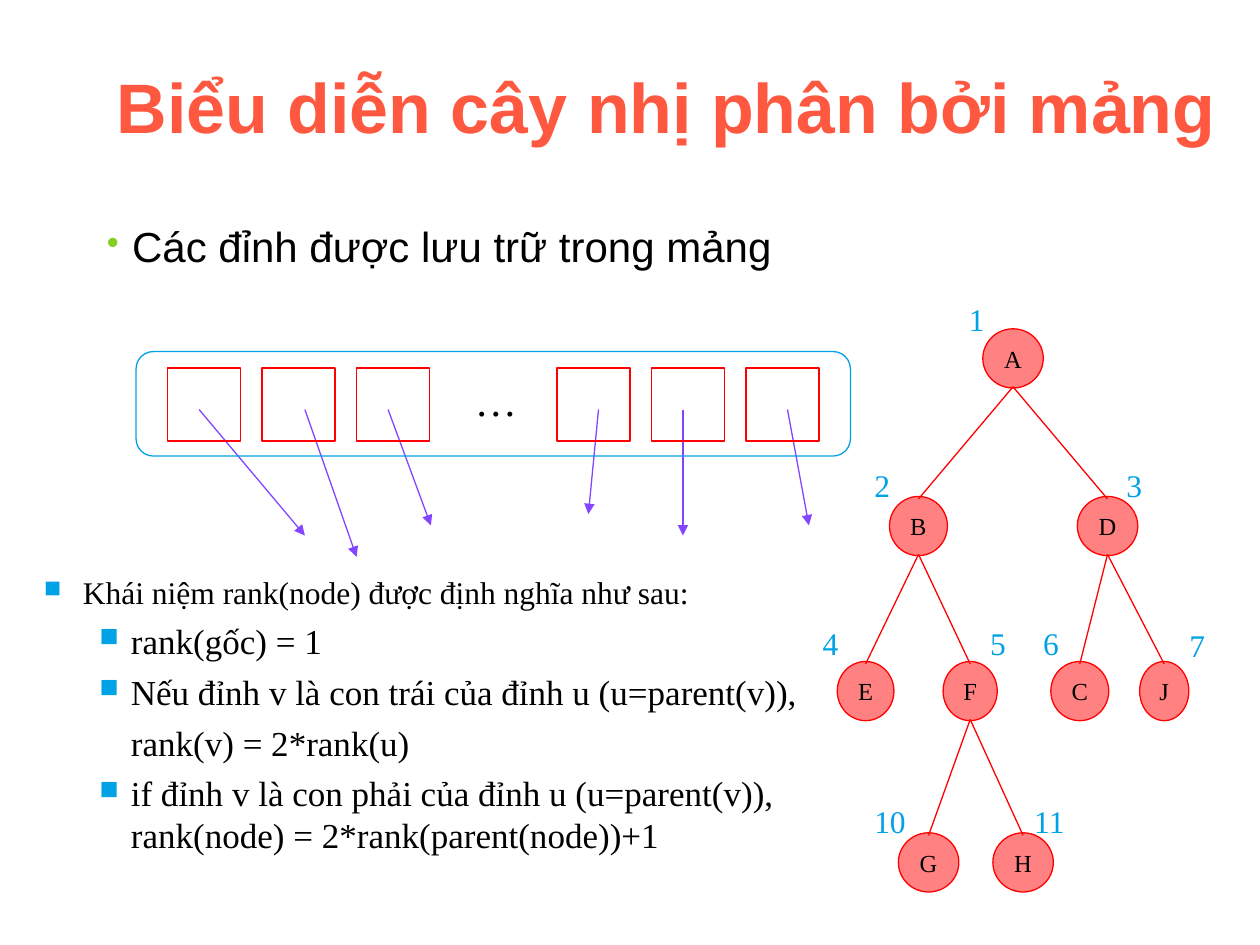
from dataclasses import dataclass

from lxml.etree import SubElement
from pptx import Presentation
from pptx.dml.color import RGBColor
from pptx.enum.shapes import MSO_CONNECTOR, MSO_SHAPE
from pptx.enum.text import MSO_ANCHOR, MSO_AUTO_SIZE, PP_ALIGN
from pptx.oxml.ns import qn
from pptx.util import Inches, Pt

BLACK = RGBColor(0x00, 0x00, 0x00)
ORANGE = RGBColor(0xFF, 0x58, 0x40)
GREEN = RGBColor(0x86, 0xCE, 0x24)
BLUE = RGBColor(0x00, 0xA2, 0xE6)
PURPLE = RGBColor(0x83, 0x45, 0xFF)
RED = RGBColor(0xFF, 0x00, 0x00)
PINK = RGBColor(0xFF, 0x81, 0x81)
SANS, SERIF = "Arial", "Times New Roman"

NODE_HEIGHT = 0.47
LEVEL_TOPS = (2.61, 3.94, 5.25, 6.61)
RANK_TOPS = (2.33, 3.65, 4.9, 6.32)


@dataclass(frozen=True)
class Node:
    rank: int
    name: str
    center: float
    width: float
    rank_left: float
    rank_drop: float = 0

    @property
    def level(self) -> int:
        return self.rank.bit_length() - 1

    @property
    def top(self) -> float:
        return LEVEL_TOPS[self.level]


@dataclass(frozen=True)
class Cell:
    left: float
    arrow_start: float
    arrow_end: tuple[float, float]


@dataclass(frozen=True)
class Item:
    text: str
    size: float = 20
    margin: float = 0.69
    hanging: float = 0.25
    space_before: float = 5
    bullet: str = "■"


NODES = (
    Node(1, "A", 8.04, 0.48, 7.59),
    Node(2, "B", 7.29, 0.46, 6.84),
    Node(3, "D", 8.79, 0.48, 8.84),
    Node(4, "E", 6.87, 0.45, 6.43),
    Node(5, "F", 7.70, 0.43, 7.76),
    Node(6, "C", 8.57, 0.46, 8.18),
    Node(7, "J", 9.24, 0.39, 9.34, 0.02),
    Node(10, "G", 7.37, 0.48, 6.84),
    Node(11, "H", 8.12, 0.48, 8.11),
)
CELLS = (
    Cell(1.33, 1.58, (2.42, 4.25)),
    Cell(2.08, 2.42, (2.83, 4.42)),
    Cell(2.83, 3.08, (3.42, 4.17)),
    Cell(4.42, 4.75, (4.67, 4.08)),
    Cell(5.17, 5.42, (5.42, 4.25)),
    Cell(5.92, 6.25, (6.42, 4.17)),
)
RANK_RULES = (
    Item("Khái niệm rank(node) được định nghĩa như sau:", 18, 0.31, 0.31, 4.5),
    Item("rank(gốc) = 1"),
    Item("Nếu đỉnh v là con trái của đỉnh u (u=parent(v)),"),
    Item("rank(v) = 2*rank(u)", hanging=0, bullet=""),
    Item("if đỉnh v là con phải của đỉnh u (u=parent(v)), "
         "rank(node) = 2*rank(parent(node))+1"),
)


def write(paragraph, text: str, *, size: float, font: str = SERIF,
          color: RGBColor = BLACK, bold: bool = False) -> None:
    run = paragraph.add_run()
    run.text = text
    run.font.size, run.font.name, run.font.bold = Pt(size), font, bold
    run.font.color.rgb = color


def add_text_box(slide, left: float, top: float, width: float, height: float,
                 wrap: bool = True):
    frame = slide.shapes.add_textbox(
        Inches(left), Inches(top), Inches(width), Inches(height)).text_frame
    frame.word_wrap = wrap
    frame.auto_size = MSO_AUTO_SIZE.NONE if wrap else MSO_AUTO_SIZE.SHAPE_TO_FIT_TEXT
    return frame


def set_bullet(paragraph, character: str, color: RGBColor, percent: int,
               margin: float, hanging: float) -> None:
    """Set the indents and, when a character is given, the bullet."""
    properties = paragraph._p.get_or_add_pPr()
    properties.set("marL", str(Inches(margin)))
    properties.set("indent", str(Inches(-hanging)))
    if character:
        bullet_color = SubElement(properties, qn("a:buClr"))
        SubElement(bullet_color, qn("a:srgbClr"), val=str(color))
        SubElement(properties, qn("a:buSzPct"), val=str(percent * 1000))
        SubElement(properties, qn("a:buChar"), char=character)
    else:
        SubElement(properties, qn("a:buNone"))


def add_outline(slide, kind: MSO_SHAPE, left: float, top: float, width: float,
                height: float, color: RGBColor):
    shape = slide.shapes.add_shape(
        kind, Inches(left), Inches(top), Inches(width), Inches(height))
    shape.shadow.inherit = False
    shape.fill.background()
    shape.line.color.rgb = color
    shape.line.width = Pt(0.75)
    return shape


def add_line(slide, start: tuple[float, float], end: tuple[float, float],
             color: RGBColor, arrow: bool = False) -> None:
    line = slide.shapes.add_connector(
        MSO_CONNECTOR.STRAIGHT, *map(Inches, (*start, *end)))
    line.line.color.rgb = color
    line.line.width = Pt(0.75)
    if arrow:
        SubElement(line.line._get_or_add_ln(), qn("a:tailEnd"), type="triangle")
    SubElement(line._element.spPr, qn("a:effectLst"))


def add_array(slide) -> None:
    for cell in CELLS:
        add_line(slide, (cell.arrow_start, 3.25), cell.arrow_end, PURPLE, arrow=True)
    add_outline(slide, MSO_SHAPE.ROUNDED_RECTANGLE, 1.08, 2.79, 5.67, 0.83, BLUE)
    for cell in CELLS:
        add_outline(slide, MSO_SHAPE.RECTANGLE, cell.left, 2.92, 0.58, 0.58, RED)
    ellipsis = add_text_box(slide, 3.67, 2.92, 0.53, 0.5, wrap=False)
    write(ellipsis.paragraphs[0], "…", size=24)


def add_node(slide, node: Node) -> None:
    label = add_text_box(slide, node.rank_left, RANK_TOPS[node.level] + node.rank_drop,
                         0.32 if node.rank < 10 else 0.45, 0.4, wrap=False)
    write(label.paragraphs[0], str(node.rank), size=18, color=BLUE)
    circle = add_outline(slide, MSO_SHAPE.OVAL, node.center - node.width / 2, node.top,
                         node.width, NODE_HEIGHT, RED)
    circle.fill.solid()
    circle.fill.fore_color.rgb = PINK
    frame = circle.text_frame
    frame.word_wrap = False
    frame.vertical_anchor = MSO_ANCHOR.MIDDLE
    frame.paragraphs[0].alignment = PP_ALIGN.CENTER
    write(frame.paragraphs[0], node.name, size=14)


def add_tree(slide) -> None:
    """Draw the nodes, then join each one to the node of half its rank."""
    by_rank = {node.rank: node for node in NODES}
    for node in NODES:
        add_node(slide, node)
    for node in NODES[1:]:
        parent = by_rank[node.rank // 2]
        add_line(slide, (parent.center, parent.top + NODE_HEIGHT - 0.01),
                 (node.center, node.top + 0.02), RED)


def add_rank_rules(slide) -> None:
    frame = add_text_box(slide, 0.25, 4.5, 6.58, 2.33)
    for index, item in enumerate(RANK_RULES):
        paragraph = frame.add_paragraph() if index else frame.paragraphs[0]
        paragraph.level = 1 if index else 0
        paragraph.space_before = Pt(item.space_before)
        set_bullet(paragraph, item.bullet, BLUE, 75, item.margin, item.hanging)
        write(paragraph, item.text, size=item.size)


def main() -> None:
    presentation = Presentation()
    presentation.slide_width, presentation.slide_height = Inches(10), Inches(7.5)
    slide = presentation.slides.add_slide(presentation.slide_layouts[6])

    title = add_text_box(slide, 0.83, 0, 8.92, 1.67)
    title.vertical_anchor = MSO_ANCHOR.MIDDLE
    write(title.paragraphs[0], "Biểu diễn cây nhị phân bởi mảng",
          size=40, font=SANS, color=ORANGE, bold=True)

    intro = add_text_box(slide, 0.75, 1.75, 5.75, 0.67).paragraphs[0]
    intro.line_spacing, intro.space_before = 0.9, Pt(6)
    set_bullet(intro, "•", GREEN, 85, 0.2, 0.2)
    write(intro, "Các đỉnh được lưu trữ trong mảng", size=24, font=SANS)

    add_array(slide)
    add_rank_rules(slide)
    add_tree(slide)
    presentation.save("out.pptx")


if __name__ == "__main__":
    main()
